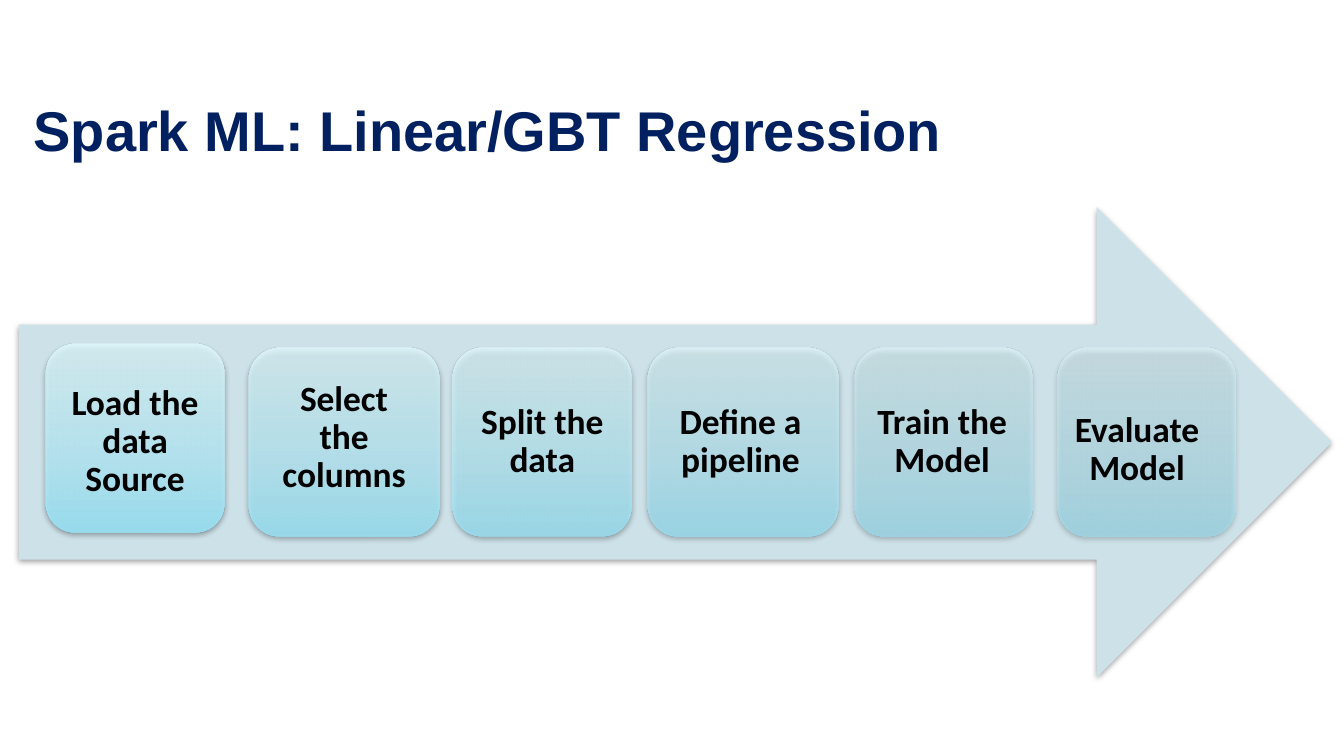
from dataclasses import dataclass

from lxml.etree import SubElement
from pptx import Presentation
from pptx.dml.color import RGBColor
from pptx.enum.shapes import MSO_SHAPE
from pptx.enum.text import MSO_ANCHOR, MSO_AUTO_SIZE, PP_ALIGN
from pptx.oxml.ns import qn
from pptx.util import Inches, Pt

# Content
HEADING = "Spark ML: Linear/GBT Regression"
# text, card left, card width, card opacity %, label offset (x, y), label width
STEPS = [
    ("Load the data Source", 0.34, 1.33, 80, (0, 0.03), 1.21),
    ("Select the columns", 1.85, 1.42, 75, (0, -0.03), 1.08),
    ("Split the data", 3.37, 1.33, 70, (0, 0), 1.21),
    ("Define a pipeline", 4.82, 1.42, 65, (-0.02, 0), 1.32),
    ("Train the Model", 6.36, 1.32, 55, (-0.01, 0), 1.42),
    ("Evaluate Model", 7.87, 1.32, 50, (-0.07, 0.06), 1.21),
]


@dataclass(frozen=True)
class Theme:
    heading: str = "002060"
    label: str = "000000"
    arrow: str = "CDE1E8"
    shadow: str = "000000"
    card: tuple = ((0, "99EAFF"), (35, "B8F1FF"), (100, "E2FBFF"))
    heading_size: int = 30
    label_size: int = 19


THEME = Theme()

# Layout, in inches, on a 16:9 slide
SLIDE_W = 10
SLIDE_H = SLIDE_W * 9 / 16
TITLE_BOX = (0.18, 0.55, 8.62, 0.88)
ARROW_BOX = (0.14, 1.54, 9.77, 3.5)
CARD_TOP, CARD_H = 2.59, 1.4
FIRST_CARD_LIFT = 0.03
LABEL_H = 1.28


def place(box):
    return [Inches(length) for length in box]


def write(frame, text, *, font, size, color, align, inset):
    frame.word_wrap = True
    frame.auto_size = MSO_AUTO_SIZE.NONE
    frame.vertical_anchor = MSO_ANCHOR.MIDDLE
    frame.margin_left = frame.margin_right = Inches(inset)
    frame.margin_top = frame.margin_bottom = Inches(inset)
    paragraph = frame.paragraphs[0]
    paragraph.alignment = align
    paragraph.line_spacing = 0.9
    run = paragraph.add_run()
    run.text = text
    run.font.name, run.font.size, run.font.bold = font, Pt(size), True
    run.font.color.rgb = RGBColor.from_string(color)


def add_color(parent, color, opacity):
    node = SubElement(parent, qn("a:srgbClr"), val=color)
    SubElement(node, qn("a:alpha"), val=str(opacity * 1000))


def add_shadow(shape):
    shape.shadow.inherit = False
    effects = shape._element.spPr.find(qn("a:effectLst"))
    shadow = SubElement(effects, qn("a:outerShdw"), blurRad=str(Pt(3.1)),
                        dist=str(Pt(1.6)), dir="5400000", rotWithShape="0")
    add_color(shadow, THEME.shadow, 38)


def fill_card(card, opacity):
    card.fill.gradient()
    card.fill.gradient_angle = 90
    stops = card._element.spPr.find(qn("a:gradFill")).find(qn("a:gsLst"))
    for stop in list(stops):
        stops.remove(stop)
    for position, color in THEME.card:
        add_color(SubElement(stops, qn("a:gs"), pos=str(position * 1000)), color, opacity)


def add_plain_shape(slide, preset, box):
    shape = slide.shapes.add_shape(preset, *place(box))
    shape.line.fill.background()
    add_shadow(shape)
    return shape


def main():
    deck = Presentation()
    deck.slide_width, deck.slide_height = Inches(SLIDE_W), Inches(SLIDE_H)
    slide = deck.slides.add_slide(deck.slide_layouts[5])

    # Title
    title = slide.shapes.title
    title.left, title.top, title.width, title.height = place(TITLE_BOX)
    write(title.text_frame, HEADING, font="Arial", size=THEME.heading_size,
          color=THEME.heading, align=PP_ALIGN.LEFT, inset=0.07)

    # Process arrow
    arrow = add_plain_shape(slide, MSO_SHAPE.RIGHT_ARROW, ARROW_BOX)
    arrow.fill.solid()
    arrow.fill.fore_color.rgb = RGBColor.from_string(THEME.arrow)

    # Step cards, each with a label centred on it
    for index, (text, left, width, opacity, (dx, dy), label_w) in enumerate(STEPS):
        top = CARD_TOP - (FIRST_CARD_LIFT if index == 0 else 0)
        card = add_plain_shape(slide, MSO_SHAPE.ROUNDED_RECTANGLE,
                               (left, top, width, CARD_H))
        fill_card(card, opacity)
        label = slide.shapes.add_textbox(*place((
            left + (width - label_w) / 2 + dx,
            top + (CARD_H - LABEL_H) / 2 + dy, label_w, LABEL_H)))
        write(label.text_frame, text, font="Calibri", size=THEME.label_size,
              color=THEME.label, align=PP_ALIGN.CENTER, inset=0.04)

    deck.save("out.pptx")


if __name__ == "__main__":
    main()
